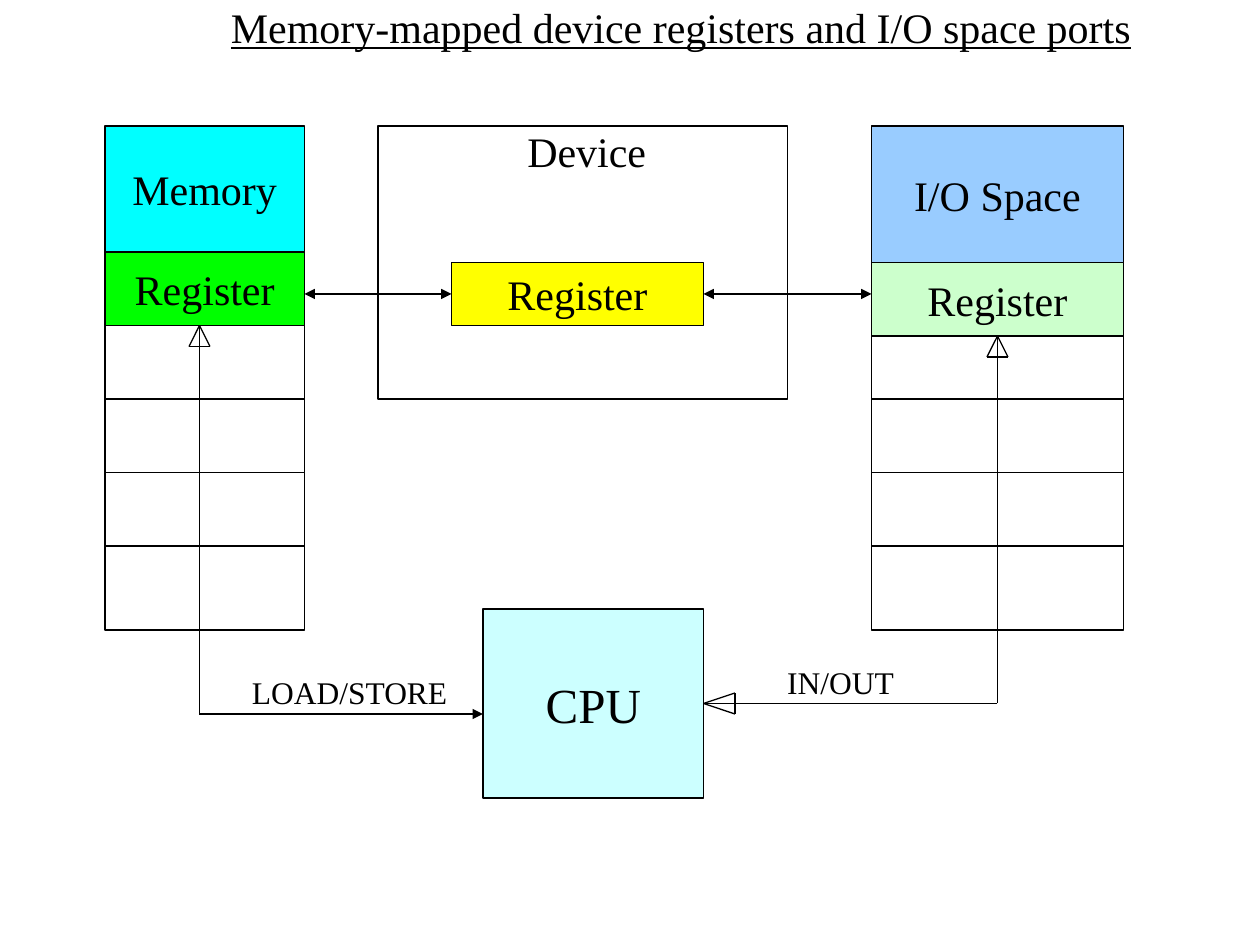
from dataclasses import dataclass
from itertools import combinations

from lxml.etree import SubElement
from pptx import Presentation
from pptx.dml.color import RGBColor
from pptx.enum.shapes import MSO_CONNECTOR, MSO_SHAPE
from pptx.enum.text import MSO_ANCHOR as Anchor, MSO_AUTO_SIZE as AutoSize, PP_ALIGN as Align
from pptx.oxml.ns import qn
from pptx.slide import Slide
from pptx.text.text import TextFrame
from pptx.util import Cm, Length, Pt

FONT = "Times New Roman"
BLACK = RGBColor(0x00, 0x00, 0x00)
WHITE = RGBColor(0xFF, 0xFF, 0xFF)
CYAN = RGBColor(0x00, 0xFF, 0xFF)
GREEN = RGBColor(0x00, 0xFF, 0x00)
YELLOW = RGBColor(0xFF, 0xFF, 0x00)
SKY = RGBColor(0x99, 0xCC, 0xFF)
MINT = RGBColor(0xCC, 0xFF, 0xCC)
ICE = RGBColor(0xCC, 0xFF, 0xFF)
LINE_WIDTH = Pt(0.75)
CELLS_PER_INCH = 12

Point = tuple[int, int]


@dataclass(frozen=True)
class Box:
    x: int
    y: int
    w: int
    h: int
    fill: RGBColor = WHITE
    text: str = ""
    size: int = 24


@dataclass(frozen=True)
class Label:
    text: str
    x: float
    y: float
    w: float
    h: float
    size: int


@dataclass(frozen=True)
class Column:
    x: int
    w: int
    heights: tuple[int, ...]
    name: str
    name_fill: RGBColor
    register_fill: RGBColor


@dataclass(frozen=True)
class Link:
    start: Point
    end: Point
    head: bool = False
    tail: bool = False


TITLE = Label("Memory-mapped device registers and I/O space ports", 4.4, -0.1, 19.2, 1.27, 24)
COLUMNS = (
    Column(10, 19, (12, 7, 7, 7, 7, 8), "Memory", CYAN, GREEN),
    Column(83, 24, (13, 7, 6, 7, 7, 8), "I/O Space", SKY, MINT),
)
BOXES = (
    Box(36, 12, 39, 26),
    Box(43, 25, 24, 6, YELLOW, "Register"),
    Box(46, 58, 21, 18, ICE, "CPU", 28),
)
LABELS = (
    Label("Device", 10.38, 2.41, 2.9, 1.27, 24),
    Label("LOAD/STORE", 4.83, 13.44, 4.45, 1.02, 18),
    Label("IN/OUT", 15.62, 13.24, 2.64, 1.02, 18),
)
LINKS = (
    Link((29, 28), (43, 28), head=True, tail=True),
    Link((67, 28), (83, 28), head=True, tail=True),
    Link((19, 31), (19, 68)),
    Link((19, 68), (46, 68), tail=True),
    Link((95, 32), (95, 67)),
    Link((95, 67), (67, 67)),
)
OPEN_ARROWS = (
    ((19, 31), (18, 33), (20, 33)),
    ((95, 32), (94, 34), (96, 34)),
    ((67, 67), (70, 66), (70, 68)),
)


def grid(cells: int) -> Length:
    return Cm(cells * 2.54 / CELLS_PER_INCH)


def write(tf: TextFrame, text: str, size: int, align: Align, anchor: Anchor,
          underline: bool = False) -> None:
    tf.text = text
    tf.word_wrap = False
    tf.auto_size = AutoSize.NONE
    tf.vertical_anchor = anchor
    p = tf.paragraphs[0]
    p.alignment = align
    font = p.runs[0].font
    font.name, font.size, font.underline = FONT, Pt(size), underline
    font.color.rgb = BLACK


def draw_title(s: Slide, label: Label) -> None:
    sp = s.shapes.title
    sp.left, sp.top, sp.width, sp.height = map(Cm, (label.x, label.y, label.w, label.h))
    write(sp.text_frame, label.text, label.size, Align.LEFT, Anchor.TOP, underline=True)


def draw_label(s: Slide, label: Label) -> None:
    sp = s.shapes.add_textbox(*map(Cm, (label.x, label.y, label.w, label.h)))
    write(sp.text_frame, label.text, label.size, Align.LEFT, Anchor.TOP)


def draw_box(s: Slide, box: Box) -> None:
    sp = s.shapes.add_shape(MSO_SHAPE.RECTANGLE, *map(grid, (box.x, box.y, box.w, box.h)))
    sp.shadow.inherit = False
    sp.fill.solid()
    sp.fill.fore_color.rgb = box.fill
    sp.line.color.rgb = BLACK
    sp.line.width = LINE_WIDTH
    if box.text:
        write(sp.text_frame, box.text, box.size, Align.CENTER, Anchor.MIDDLE)


def draw_column(s: Slide, column: Column) -> None:
    y = 12
    for i, h in enumerate(column.heights):
        fill, text = {0: (column.name_fill, column.name),
                      1: (column.register_fill, "Register")}.get(i, (WHITE, ""))
        draw_box(s, Box(column.x, y, column.w, h, fill, text))
        y += h


def draw_link(s: Slide, link: Link) -> None:
    cxn = s.shapes.add_connector(MSO_CONNECTOR.STRAIGHT, *map(grid, link.start + link.end))
    cxn.line.color.rgb = BLACK
    cxn.line.width = LINE_WIDTH
    ln = cxn.line._get_or_add_ln()
    for tag, wanted in (("a:headEnd", link.head), ("a:tailEnd", link.tail)):
        if wanted:
            SubElement(ln, qn(tag), type="triangle")
    SubElement(cxn._element.spPr, qn("a:effectLst"))


def main() -> None:
    prs = Presentation()
    prs.slide_width, prs.slide_height = Cm(25.4), Cm(19.05)
    s = prs.slides.add_slide(prs.slide_layouts[5])
    draw_title(s, TITLE)
    for column in COLUMNS:
        draw_column(s, column)
    for box in BOXES:
        draw_box(s, box)
    for label in LABELS:
        draw_label(s, label)
    for link in LINKS:
        draw_link(s, link)
    for corners in OPEN_ARROWS:
        for start, end in combinations(corners, 2):
            draw_link(s, Link(start, end))
    prs.save("out.pptx")


if __name__ == "__main__":
    main()
